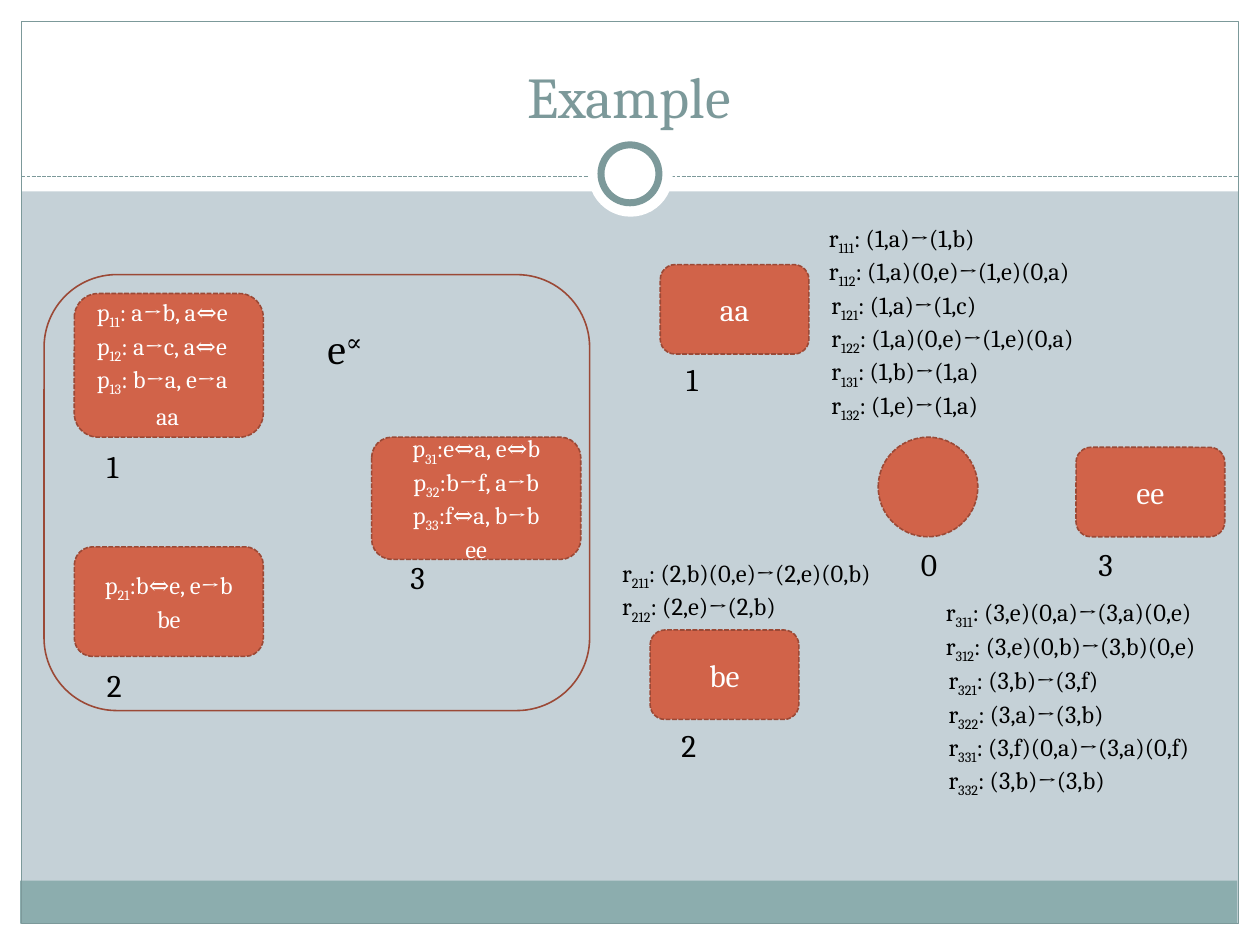
from dataclasses import dataclass
from typing import Optional

from lxml.etree import SubElement
from pptx import Presentation
from pptx.dml.color import RGBColor
from pptx.enum.dml import MSO_LINE as Dash
from pptx.enum.shapes import MSO_CONNECTOR as Link, MSO_SHAPE as Kind
from pptx.enum.text import MSO_ANCHOR as Anchor, MSO_AUTO_SIZE as Fit, PP_ALIGN as Align
from pptx.oxml.ns import qn
from pptx.util import Inches, Pt

FONT = "Cambria"
WHITE = RGBColor(0xFF, 0xFF, 0xFF)
BLACK = RGBColor(0, 0, 0)
MIST = RGBColor(0xC5, 0xD1, 0xD7)
TEAL = RGBColor(0x8C, 0xAD, 0xAE)
SLATE = RGBColor(0x7C, 0x99, 0x9A)
RUST = RGBColor(0xD1, 0x63, 0x49)
BROWN = RGBColor(0x9B, 0x49, 0x36)
SHIFT = {"_": "-25000", "^": "30000"}


@dataclass
class Form:
    x: float
    y: float
    w: float
    h: float
    kind: Kind = Kind.RECTANGLE
    fill: Optional[RGBColor] = None
    line: Optional[RGBColor] = None
    width: float = 0.75
    dash: Optional[Dash] = None


@dataclass
class Cell:
    """A membrane or cell of the system, with its contents."""
    x: float
    y: float
    w: float = 1.18
    h: float = 0.71
    rows: tuple[str, ...] = ()
    size: int = 18
    kind: Kind = Kind.ROUNDED_RECTANGLE


@dataclass
class Note:
    x: float
    y: float
    w: float
    h: float
    rows: tuple[str, ...]
    size: int = 14
    color: RGBColor = BLACK


FRAME = [
    Form(0, 7.33, 10, 0.17, fill=WHITE),
    Form(0, 0, 10, 1.52, fill=WHITE),
    Form(0, 0, 0.17, 7.5, fill=WHITE),
    Form(9.83, 0, 0.17, 7.5, fill=WHITE),
    Form(0.16, 6.99, 9.66, 0.34, fill=TEAL),
    Form(0.17, 0.17, 9.66, 7.16, line=SLATE),
]
RINGS = [
    Form(4.67, 1.05, 0.67, 0.67, Kind.OVAL, WHITE),
    Form(4.77, 1.15, 0.46, 0.46, Kind.OVAL, WHITE, SLATE, 4),
]
SKIN = Form(0.35, 2.18, 4.33, 3.46, Kind.ROUNDED_RECTANGLE, line=BROWN, width=0.9)

CELLS = [
    Cell(5.24, 2.1, rows=("aa",)),
    Cell(8.54, 3.55, rows=("ee",)),
    Cell(5.16, 5, rows=("be",)),
    Cell(6.97, 3.47, 0.79, 0.79, kind=Kind.OVAL),
    Cell(0.59, 2.33, 1.5, 1.14),
    Cell(0.59, 4.34, 1.5, 0.87, ("p_21_:b⇔e, e→b", "be"), 14),
    Cell(2.95, 3.47, 1.66, 0.97,
         ("p_31_:e⇔a, e⇔b", "p_32_:b→f, a→b", "p_33_:f⇔a, b→b", "ee"), 14),
]

TAGS = [
    ("1", 5.35, 2.81), ("2", 5.31, 5.71), ("3", 8.62, 4.28), ("0", 7.21, 4.28),
    ("1", 0.75, 3.5), ("3", 3.16, 4.38), ("2", 0.75, 5.24),
]

NOTES = [
    Note(2.5, 2.51, 0.52, 0.5, ("e^∝",), 24),
    Note(0.67, 2.31, 1.44, 0.81,
         ("p_11_: a→b, a⇔e", "p_12_: a→c, a⇔e", "p_13_: b→a, e→a"), color=WHITE),
    Note(1.14, 3.13, 0.4, 0.34, ("aa",), color=WHITE),
    Note(6.48, 1.72, 2.37, 0.57,
         ("r_111_: (1,a)→(1,b)", "r_112_: (1,a)(0,e)→(1,e)(0,a)")),
    Note(6.5, 2.25, 2.38, 0.57,
         ("r_121_: (1,a)→(1,c)", "r_122_: (1,a)(0,e)→(1,e)(0,a)")),
    Note(6.5, 2.78, 1.55, 0.57,
         ("r_131_: (1,b)→(1,a)", "r_132_: (1,e)→(1,a)")),
    Note(7.41, 4.69, 2.47, 0.57,
         ("r_311_: (3,e)(0,a)→(3,a)(0,e)", "r_312_: (3,e)(0,b)→(3,b)(0,e)")),
    Note(7.43, 5.23, 1.63, 0.57,
         ("r_321_: (3,b)→(3,f)", "r_322_: (3,a)→(3,b)")),
    Note(7.43, 5.76, 2.37, 0.57,
         ("r_331_: (3,f)(0,a)→(3,a)(0,f)", "r_332_: (3,b)→(3,b)")),
    Note(4.84, 4.38, 2.44, 0.57,
         ("r_211_: (2,b)(0,e)→(2,e)(0,b)", "r_212_: (2,e)→(2,b)")),
]


def write(frame, rows: tuple[str, ...], size: int, color: RGBColor, align: Align) -> None:
    """Fill a text frame; _x_ marks a subscript and ^x a superscript."""
    for i, row in enumerate(rows):
        para = frame.paragraphs[0] if i == 0 else frame.add_paragraph()
        para.alignment = align
        font = para.font
        font.name, font.size, font.color.rgb = FONT, Pt(size), color
        mark = "^" if "^" in row else "_"
        for j, part in enumerate(row.split(mark)):
            run = para.add_run()
            run.text = part
            if j % 2:
                run._r.get_or_add_rPr().set("baseline", SHIFT[mark])


def draw_form(shapes, form: Form):
    shape = shapes.add_shape(form.kind, Inches(form.x), Inches(form.y),
                             Inches(form.w), Inches(form.h))
    shape.shadow.inherit = False
    if form.fill is None:
        shape.fill.background()
    else:
        shape.fill.solid()
        shape.fill.fore_color.rgb = form.fill
    if form.line is None:
        shape.line.fill.background()
    else:
        shape.line.color.rgb = form.line
        shape.line.width = Pt(form.width)
        if form.dash:
            shape.line.dash_style = form.dash
    return shape


def draw_cell(shapes, cell: Cell) -> None:
    shape = draw_form(shapes, Form(cell.x, cell.y, cell.w, cell.h, cell.kind,
                                   RUST, BROWN, 0.9, Dash.SQUARE_DOT))
    frame = shape.text_frame
    frame.vertical_anchor = Anchor.MIDDLE
    write(frame, cell.rows, cell.size, WHITE, Align.CENTER)


def draw_note(shapes, note: Note) -> None:
    box = shapes.add_textbox(Inches(note.x), Inches(note.y), Inches(note.w), Inches(note.h))
    frame = box.text_frame
    frame.word_wrap = False
    frame.auto_size = Fit.SHAPE_TO_FIT_TEXT
    write(frame, note.rows, note.size, note.color, Align.LEFT)


def draw_rule(shapes) -> None:
    rule = shapes.add_connector(Link.STRAIGHT, Inches(0.17), Inches(1.4),
                                Inches(9.83), Inches(1.4))
    rule.line.color.rgb = SLATE
    rule.line.width = Pt(0.75)
    rule.line.dash_style = Dash.SQUARE_DOT
    SubElement(rule._element.spPr, qn("a:effectLst"))


def draw_title(shapes) -> None:
    box = shapes.add_textbox(Inches(0.33), Inches(0.25), Inches(9.33), Inches(0.83))
    frame = box.text_frame
    frame.word_wrap = True
    frame.vertical_anchor = Anchor.BOTTOM
    write(frame, ("Example",), 33, SLATE, Align.CENTER)


def main() -> None:
    deck = Presentation()
    deck.slide_width, deck.slide_height = Inches(10), Inches(7.5)
    slide = deck.slides.add_slide(deck.slide_layouts[6])
    slide.background.fill.solid()
    slide.background.fill.fore_color.rgb = MIST
    shapes = slide.shapes
    for form in FRAME:
        draw_form(shapes, form)
    draw_rule(shapes)
    for ring in RINGS:
        draw_form(shapes, ring)
    draw_title(shapes)
    for cell in CELLS:
        draw_cell(shapes, cell)
    draw_form(shapes, SKIN)
    tags = [Note(x, y, 0.34, 0.4, (text,), 18) for text, x, y in TAGS]
    for note in tags + NOTES:
        draw_note(shapes, note)
    deck.save("out.pptx")


if __name__ == "__main__":
    main()
